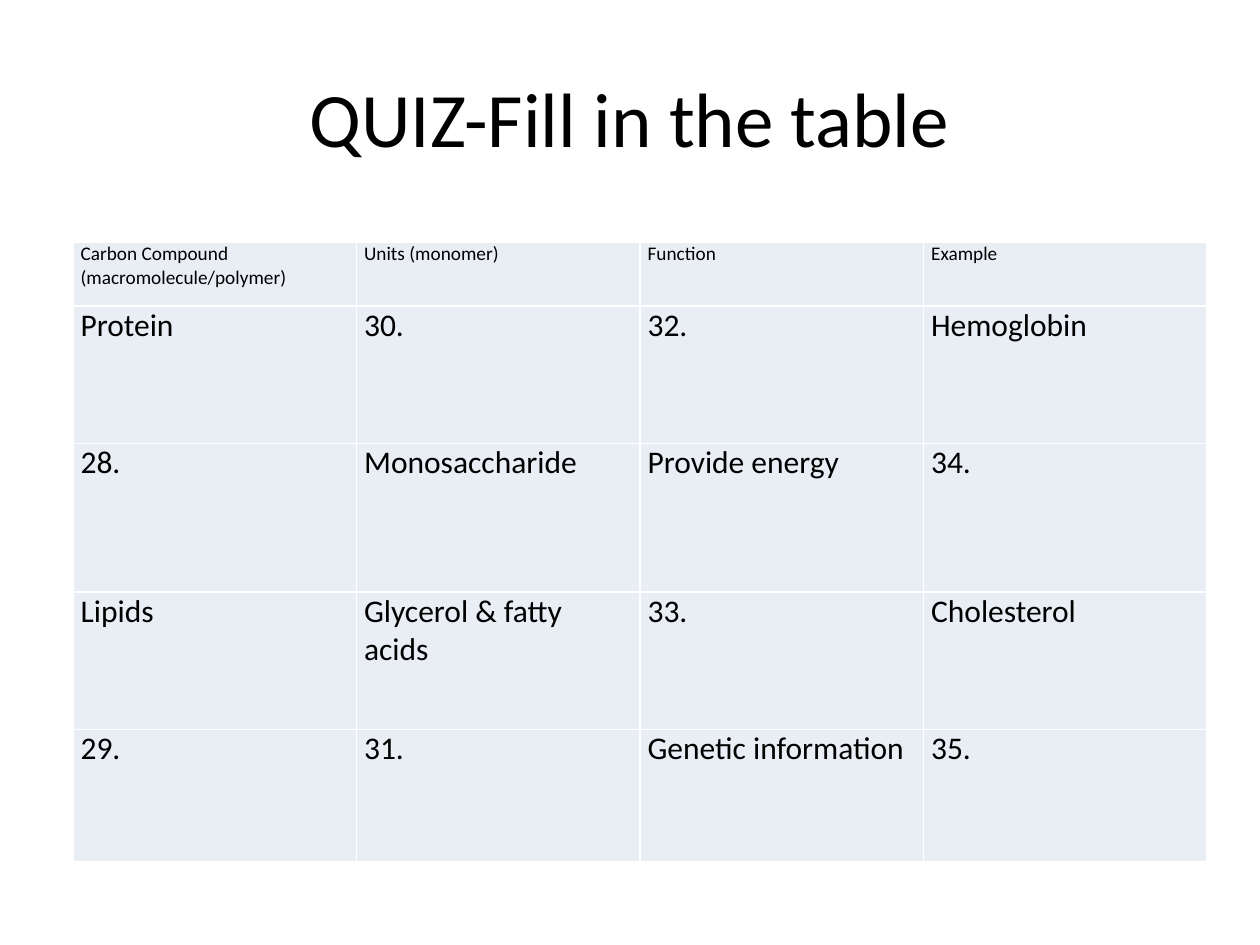
from dataclasses import dataclass

from lxml.etree import SubElement
from pptx import Presentation
from pptx.dml.color import RGBColor
from pptx.enum.text import MSO_ANCHOR, PP_ALIGN
from pptx.oxml.ns import qn
from pptx.util import Inches, Pt


@dataclass(frozen=True)
class Theme:
    font: str = "Calibri"
    ink: str = "000000"
    cell: str = "E9EDF4"
    border: str = "FFFFFF"
    border_width: float = 1
    title_size: int = 44
    header_size: int = 11
    body_size: int = 18
    side_margin: float = 0.06


THEME = Theme()
SLIDE_WIDTH, SLIDE_HEIGHT = 10, 7.5
TITLE_BOX = (0.5, 0.3, 9, 1.25)
TABLE_BOX = (0.58, 1.92, 9, 4.92)
ROW_HEIGHTS = (0.51, 1.09, 1.18, 1.09, 1.05)
QUIZ_ROWS = (
    ("Carbon Compound (macromolecule/polymer)", "Units (monomer)", "Function", "Example"),
    ("Protein", "30.", "32.", "Hemoglobin"),
    ("28.", "Monosaccharide", "Provide energy", "34."),
    ("Lipids", "Glycerol & fatty acids", "33.", "Cholesterol"),
    ("29.", "31.", "Genetic information", "35."),
)


def add_span(para, text, size):
    span = para.add_run()
    span.text = text
    span.font.name = THEME.font
    span.font.size = Pt(size)
    span.font.color.rgb = RGBColor.from_string(THEME.ink)


def add_title(page, bounds, text):
    box = page.shapes.add_textbox(*map(Inches, bounds))
    frame = box.text_frame
    frame.word_wrap = True
    frame.vertical_anchor = MSO_ANCHOR.MIDDLE
    para = frame.paragraphs[0]
    para.alignment = PP_ALIGN.CENTER
    add_span(para, text, THEME.title_size)


def add_borders(cell):
    properties = cell._tc.get_or_add_tcPr()
    for side in ("a:lnL", "a:lnR", "a:lnT", "a:lnB"):
        line = SubElement(properties, qn(side), w=str(Pt(THEME.border_width)))
        fill = SubElement(line, qn("a:solidFill"))
        SubElement(fill, qn("a:srgbClr"), val=THEME.border)


def fill_cell(cell, text, size):
    # Borders come before the fill in the cell properties.
    add_borders(cell)
    cell.fill.solid()
    cell.fill.fore_color.rgb = RGBColor.from_string(THEME.cell)
    cell.margin_left = cell.margin_right = Inches(THEME.side_margin)
    cell.margin_top = cell.margin_bottom = 0
    add_span(cell.text_frame.paragraphs[0], text, size)


def add_quiz_table(page, bounds, rows, heights):
    columns = len(rows[0])
    table = page.shapes.add_table(len(rows), columns, *map(Inches, bounds)).table
    table.first_row = table.horz_banding = False
    for column in table.columns:
        column.width = Inches(bounds[2] / columns)
    for index, (texts, height) in enumerate(zip(rows, heights)):
        table.rows[index].height = Inches(height)
        size = THEME.body_size if index else THEME.header_size
        for column, text in enumerate(texts):
            fill_cell(table.cell(index, column), text, size)


def main():
    deck = Presentation()
    deck.slide_width, deck.slide_height = Inches(SLIDE_WIDTH), Inches(SLIDE_HEIGHT)
    page = deck.slides.add_slide(deck.slide_layouts[6])
    add_title(page, TITLE_BOX, "QUIZ-Fill in the table")
    add_quiz_table(page, TABLE_BOX, QUIZ_ROWS, ROW_HEIGHTS)
    deck.save("out.pptx")


if __name__ == "__main__":
    main()
